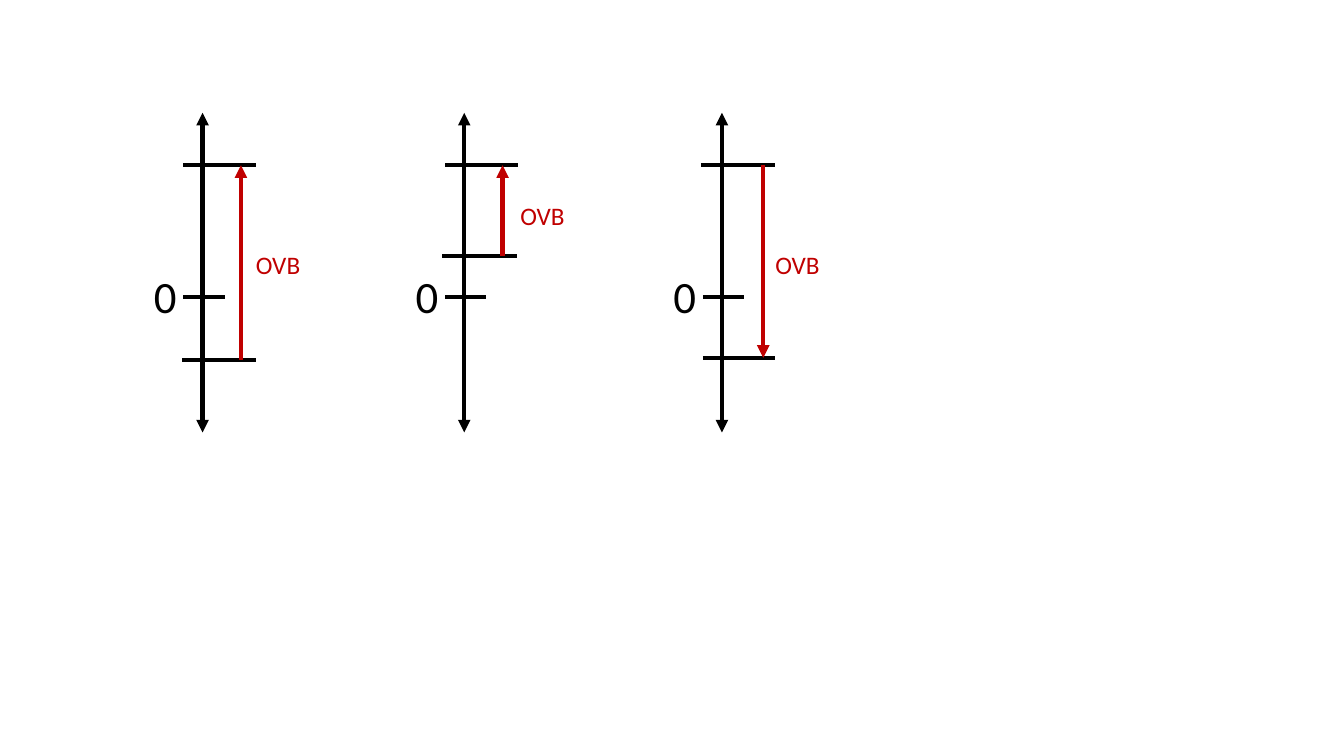
import pptx
import pptx.util
import pptx.dml.color
import pptx.enum.shapes
import pptx.enum.text
import pptx.oxml.xmlchemy

Pt = pptx.util.Pt
BLACK = pptx.dml.color.RGBColor(0x00, 0x00, 0x00)
RED = pptx.dml.color.RGBColor(0xC0, 0x00, 0x00)
FONT = "Calibri"

# Number line geometry, measured from the top left of its box
TOP, HEIGHT = 80.6, 228.3
AXIS = 41.8
UPPER, ZERO = 37.4, 131.8


def add_line(s, start, end, color, heads=()):
    """heads names the arrowed ends: headEnd is the start, tailEnd the end."""
    line = s.shapes.add_connector(
        pptx.enum.shapes.MSO_CONNECTOR.STRAIGHT,
        *(Pt(v) for v in (*start, *end)))
    line.line.color.rgb = color
    line.line.width = Pt(3)
    ln = line.line._get_or_add_ln()
    for head in heads:
        arrow = pptx.oxml.xmlchemy.OxmlElement("a:" + head)
        arrow.set("type", "triangle")
        ln.append(arrow)
    line._element.spPr.append(pptx.oxml.xmlchemy.OxmlElement("a:effectLst"))


def add_label(s, text, left, top, width, height, size, color):
    box = s.shapes.add_textbox(Pt(left), Pt(top), Pt(width), Pt(height))
    tf = box.text_frame
    tf.word_wrap = False
    tf.auto_size = pptx.enum.text.MSO_AUTO_SIZE.SHAPE_TO_FIT_TEXT
    r = tf.paragraphs[0].add_run()
    r.text = text
    r.font.name = FONT
    r.font.size = Pt(size)
    r.font.color.rgb = color


def add_number_line(s, left, top, upper_span, lower, lower_span, arrow,
                    upward, label):
    """Spans, arrow and label x are offsets from the axis."""
    x = left + AXIS

    # Axis and zero mark
    add_line(s, (x, top + HEIGHT), (x, top), BLACK, ("headEnd", "tailEnd"))
    add_label(s, "0", left, top + 108, 31, 46, 32, BLACK)

    # Ticks
    ticks = ((ZERO, (-13.7, 15.8)), (lower, lower_span), (UPPER, upper_span))
    for y, (start, end) in ticks:
        add_line(s, (x + start, top + y), (x + end, top + y), BLACK)

    # Bias arrow
    ends = [(x + arrow, top + lower), (x + arrow, top + UPPER)]
    if not upward:
        ends.reverse()
    add_line(s, *ends, RED, ("tailEnd",))
    add_label(s, "OVB", x + label[0], top + label[1], 46.8, 29, 18, RED)


def main():
    prs = pptx.Presentation()
    prs.slide_width, prs.slide_height = Pt(960), Pt(540)
    s = prs.slides.add_slide(prs.slide_layouts[6])

    # left, upper span, lower y, lower span, arrow x, upward, label
    number_lines = (
        (102.9, (-13.7, 38.2), 176.4, (-14.4, 38.2), 27.4, True, (31, 93.6)),
        (289.8, (-13.7, 38.2), 102.2, (-15.8, 37.4), 27.4, True, (33, 59)),
        (473.9, (-15, 38.2), 175, (-13.7, 38.2), 29.5, False, (31, 93.6)),
    )
    for left, *parts in number_lines:
        add_number_line(s, left, TOP, *parts)

    prs.save("out.pptx")


if __name__ == "__main__":
    main()
